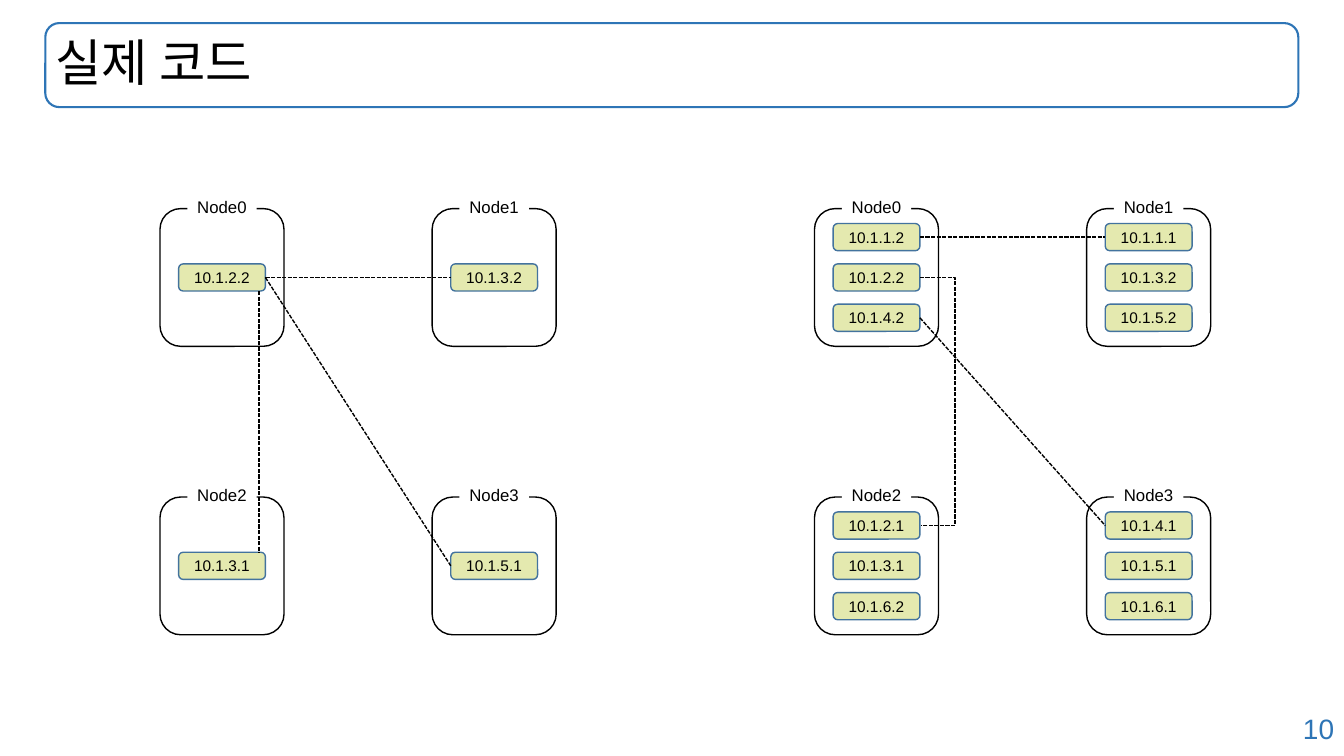
from dataclasses import dataclass

from lxml.etree import SubElement
from pptx import Presentation
from pptx.dml.color import RGBColor as RGB
from pptx.enum.dml import MSO_LINE as Dash
from pptx.enum.shapes import MSO_CONNECTOR as Wire, MSO_SHAPE as Form
from pptx.enum.text import MSO_ANCHOR as Anchor, MSO_AUTO_SIZE as Fit, PP_ALIGN as Align
from pptx.oxml.ns import qn
from pptx.util import Pt


@dataclass(frozen=True)
class Theme:
    font: str = "Arial"
    ink: RGB = RGB(0, 0, 0)
    paper: RGB = RGB(255, 255, 255)
    blue: RGB = RGB(0x2E, 0x75, 0xB6)
    chip: RGB = RGB(0xE4, 0xE9, 0xAF)
    edge: RGB = RGB(0x43, 0x73, 0x9E)
    title: int = 36
    page: int = 20
    label: int = 12
    small: int = 11


theme = Theme()


def box(home, form, place, fill=None, line=None, width=1):
    shape = home.add_shape(form, *map(Pt, place))
    shape.shadow.inherit = False
    for part, color in ((shape.fill, fill), (shape.line.fill, line)):
        if color is None:
            part.background()
        else:
            part.solid()
            part.fore_color.rgb = color
    if line is not None:
        shape.line.width = Pt(width)
    return shape


def write(shape, text, size, color=theme.ink, align=Align.LEFT, **frame):
    """Put one line of text in a shape; frame holds text frame settings."""
    body = shape.text_frame
    for name, value in frame.items():
        setattr(body, name, value)
    para = body.paragraphs[0]
    para.text = text
    para.alignment = align
    style = {"name": theme.font, "size": Pt(size)}
    for name, value in style.items():
        setattr(para.font, name, value)
    para.font.color.rgb = color
    return para


deck = Presentation()
deck.slide_width, deck.slide_height = Pt(960), Pt(540)
slide = deck.slides.add_slide(deck.slide_layouts[5])
shapes = slide.shapes

# Title and page number
banner = (32.4, 16.5, 895, 60)
box(shapes, Form.ROUNDED_RECTANGLE, banner, line=theme.blue, width=1.5)
title = shapes.title
for name, value in zip(("left", "top", "width", "height"), banner):
    setattr(title, name, Pt(value))
para = write(title, "실제 코드", theme.title, word_wrap=True,
             auto_size=Fit.NONE, vertical_anchor=Anchor.MIDDLE)
para.line_spacing = 0.9
page = shapes.add_textbox(*map(Pt, (679, 504.7, 281, 31.5)))
write(page, "10", theme.page, theme.blue, Align.RIGHT, word_wrap=True)

# Node grids: each plan has a left edge, four nodes and straight links
plans = [
    (114.3,
     [["10.1.2.2"], ["10.1.3.2"], ["10.1.3.1"], ["10.1.5.1"]],
     [("10.1.2.2", "10.1.3.2"), ("10.1.2.2", "10.1.5.1")]),
    (581.8,
     [["10.1.1.2", "10.1.2.2", "10.1.4.2"],
      ["10.1.1.1", "10.1.3.2", "10.1.5.2"],
      ["10.1.2.1", "10.1.3.1", "10.1.6.2"],
      ["10.1.4.1", "10.1.5.1", "10.1.6.1"]],
     [("10.1.1.2", "10.1.1.1"), ("10.1.4.2", "10.1.4.1")]),
]
top, step_x, step_y = 149, 194.4, 206
node_w, node_h = 88.6, 98.4
chip_w, chip_h, pitch = 62, 19.4, 28.8
tag_w, tag_h = 49.6, 21.8
LEFT, RIGHT = 1, 3
wires = []

for start, nodes, links in plans:
    group = shapes.add_group_shape().shapes
    chips = {}
    for index, hosts in enumerate(nodes):
        row, col = divmod(index, 2)
        x, y = start + col * step_x, top + row * step_y
        mid = x + node_w / 2
        box(group, Form.ROUNDED_RECTANGLE, (x, y, node_w, node_h), line=theme.ink)
        first = y + (node_h - chip_h - (len(hosts) - 1) * pitch) / 2
        for rank, host in enumerate(hosts):
            place = (mid - chip_w / 2, first + rank * pitch, chip_w, chip_h)
            chip = box(group, Form.ROUNDED_RECTANGLE, place, theme.chip, theme.edge)
            write(chip, host, theme.small, align=Align.CENTER,
                  word_wrap=False, vertical_anchor=Anchor.MIDDLE)
            chips[host] = chip
        place = (mid - tag_w / 2, y - 12.2, tag_w, tag_h)
        tag = box(group, Form.RECTANGLE, place, theme.paper)
        write(tag, f"Node{index}", theme.label, word_wrap=False,
              vertical_anchor=Anchor.TOP)
    for head, tail in links:
        wire = group.add_connector(Wire.STRAIGHT, 0, 0, 0, 0)
        wire.begin_connect(chips[head], RIGHT)
        wire.end_connect(chips[tail], LEFT)
        wires.append(wire)

# Links from Node0 down to Node2
drop = Pt(185)
upper, lower = top + (node_h + chip_h) / 2, top + step_y + (node_h - chip_h) / 2
wires.append(shapes.add_connector(Wire.STRAIGHT, drop, Pt(upper), drop, Pt(lower)))

side = plans[1][0] + (node_w + chip_w) / 2
upper, lower = top + node_h / 2, top + step_y + node_h / 2 - pitch
elbow = shapes.add_connector(Wire.ELBOW, Pt(side), Pt(upper), Pt(side + 1), Pt(lower))
bends = elbow._element.spPr.find(qn("a:prstGeom")).get_or_add_avLst()
SubElement(bends, qn("a:gd"), name="adj1", fmla="val 2538500")
wires.append(elbow)

for wire in wires:
    wire.line.color.rgb = theme.ink
    for name, value in {"width": Pt(1), "dash_style": Dash.SQUARE_DOT}.items():
        setattr(wire.line, name, value)
    SubElement(wire._element.spPr, qn("a:effectLst"))

deck.save("out.pptx")
